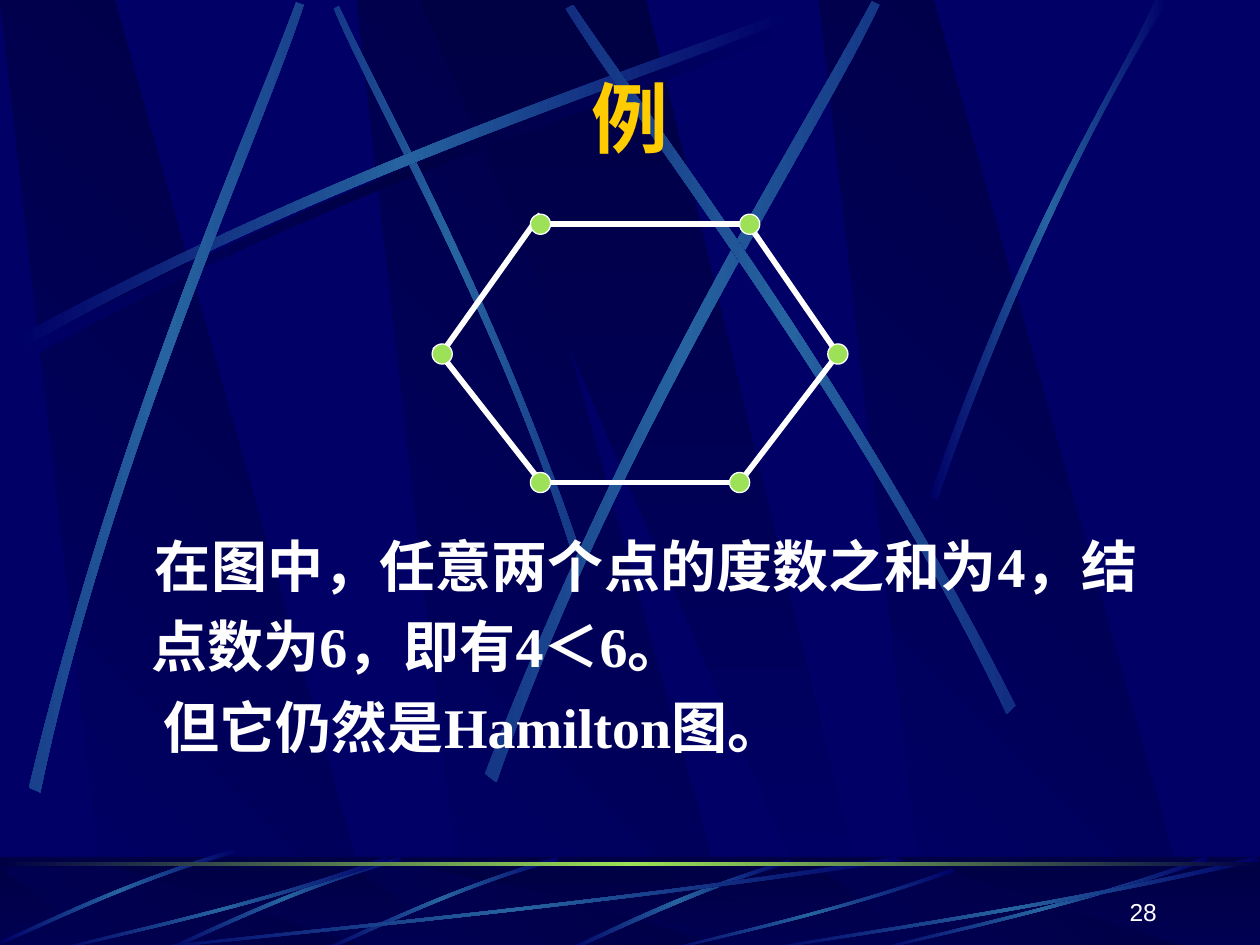
import collections
import math

import copy
import pptx
import pptx.dml.color
import pptx.enum.shapes
import pptx.enum.text
import pptx.oxml.ns
import pptx.util

Inches = pptx.util.Inches
qn = pptx.oxml.ns.qn
Box = collections.namedtuple("Box", "left top width height")
SHAPE = pptx.enum.shapes.MSO_SHAPE
ANCHOR = pptx.enum.text.MSO_ANCHOR
ALIGN = pptx.enum.text.PP_ALIGN

COLORS = {"night": "000066", "dark": "000044", "beam": "2663A0",
          "green": "9CE157", "gold": "FFCC00", "white": "FFFFFF"}
PANEL = [(0.86, 1), (3.02, 1), (0.91, 0), (0, 0)]
WEDGE = [(3.33, 0), (6.58, 1), (6.94, 1), (5.13, 0)]
PANEL_OFFSETS = (2.83, 0, 6.5)
SHADE = [(0.2, 2.75), (2.84, 1.34), (5.24, 0.59), (6.26, 0.18),
         (6.29, 0.24), (5.28, 0.69), (2.54, 1.51), (0.23, 2.85)]
BEAMS = [
    (45, [(4.6, 4.36), (3.91, 2.34), (3.02, 0.77), (2.69, 0.05),
          (2.65, 0.07), (2.95, 0.79), (3.98, 2.58), (4.54, 4.39)]),
    (0, [(0.14, 2.67), (2.78, 1.25), (5.18, 0.51), (6.2, 0.1),
         (6.23, 0.16), (5.22, 0.61), (2.48, 1.43), (0.17, 2.77)]),
    (311.7, [(0.23, 6.25), (0.93, 3.34), (1.97, 1.05), (2.35, 0.02),
             (2.41, 0.04), (2.07, 1.09), (0.86, 3.68), (0.32, 6.29)]),
    (321.6, [(3.85, 6.14), (4.98, 3.2), (6.38, 1.02), (6.92, 0.01),
             (6.98, 0.04), (6.49, 1.08), (4.86, 3.55), (3.94, 6.21)]),
    (34.7, [(8.06, 5.6), (6.7, 2.93), (5.16, 0.95), (4.55, 0.04),
            (4.49, 0.07), (5.07, 1.01), (6.85, 3.25), (7.99, 5.67)]),
    (0, [(7.38, 3.94), (8.14, 1.73), (8.88, 0.66), (9.17, 0),
         (9.27, 0), (8.36, 1.45), (7.69, 3.22), (7.44, 3.97)]),
]
FLOOR_BEAM = [(6.27, 0.02), (5.37, 0.29), (4.77, 0.62), (4.48, 0.74),
              (4.53, 0.75), (4.9, 0.58), (5.71, 0.2), (6.28, 0.05)]
SHORT_BEAM = [(1.86, 0), (0.99, 0.25), (0.31, 0.6), (0, 0.73),
              (0.01, 0.75), (0.32, 0.63), (1.09, 0.23), (1.88, 0.03)]
SHORT_BEAM_OFFSETS = [(2.56, 0), (1.31, 0), (0, -0.06)]
RIBBON = [(1, 0.04), (0.57, 0.57), (0.17, 0.85), (0.01, 1),
          (0, 0.99), (0.17, 0.81), (0.61, 0.51), (0.99, 0)]
RIBBON_SPANS = [(1, 0, 6.17), (0.42, 0, 2.67), (5.27, 0.09, 2.31),
                (6.92, 0, 2.67), (6, 0, 4)]
NODES = [(2.52, 0.08), (0.86, 0.08), (0.08, 1.11), (3.22, 1.11), (0.86, 2.13), (2.44, 2.13)]
EDGES = [(0.86, 0.08, 2.51, 0.08), (0.86, 0, 0.07, 1.11), (0.02, 1.05, 0.89, 2.16),
         (0.86, 2.13, 2.44, 2.13), (3.22, 1.11, 2.44, 2.13), (2.51, 0.08, 3.22, 1.11)]
BODY_LINES = [("在图中，任意两个点的度数之和为4，结点数为6，即有4＜6。", 0.03),
              ("但它仍然是Hamilton图。", 0.1)]


def rgb(name):
    """Look up a named colour."""
    return pptx.dml.color.RGBColor.from_string(COLORS[name])


def apply(target, values):
    """Set attributes from a dict of format values."""
    for name, value in values.items():
        setattr(target, name, value)


def paint_gradient(shape, names, angle=0):
    """Fill a shape with evenly spaced colours fixed to the page."""
    shape.shadow.inherit = False
    shape.line.fill.background()
    shape.fill.gradient()
    shape.fill.gradient_angle = angle
    stops = shape.element.spPr.find(".//" + qn("a:gsLst"))
    stops.getparent().set("rotWithShape", "0")
    while len(stops) < len(names):
        stops.append(copy.deepcopy(stops[-1]))
    for index, (stop, name) in enumerate(zip(shape.fill.gradient_stops, names)):
        stop.color.rgb = rgb(name)
        stop.position = index / (len(names) - 1)


def add_outline(art, box, points):
    """Draw a closed outline with points relative to a box."""
    corners = [(Inches(box.left + x), Inches(box.top + y)) for x, y in points]
    builder = art.shapes.build_freeform(*corners[0])
    builder.add_line_segments(corners[1:], close=True)
    return builder.convert_to_shape()


def turn(points, degrees):
    """Turn points so that their frame, turned back, keeps its centre."""
    cos, sin = math.cos(math.radians(degrees)), math.sin(math.radians(degrees))
    flat = [(x * cos + y * sin, y * cos - x * sin) for x, y in points]
    u, v = ((min(axis) + max(axis)) / 2 for axis in zip(*flat))
    shift_x, shift_y = u * cos - v * sin - u, u * sin + v * cos - v
    return [(x + shift_x, y + shift_y) for x, y in flat]


def add_beam(art, box, controls, degrees=0, core="beam"):
    """Draw a thin beam between two cubic curves."""
    shape = add_outline(art, box, turn(controls, degrees))
    lines = shape.element.spPr.findall(".//" + qn("a:lnTo"))
    for first, *others in (lines[:3], lines[4:]):
        bend = first.makeelement(qn("a:cubicBezTo"), {})
        first.addprevious(bend)
        for line in (first, *others):
            bend.append(line[0])
            line.getparent().remove(line)
    shape.rotation = degrees
    paint_gradient(shape, ("night", core, "night"))


def add_panels(art, box):
    """Draw the slanted panels over the height of a box."""
    for offset in PANEL_OFFSETS:
        panel = add_outline(art, box, [(x + offset, y * box.height) for x, y in PANEL])
        paint_gradient(panel, ("night", "dark"), 45)
    wedge = add_outline(art, box, [(x, y * box.height) for x, y in WEDGE])
    paint_gradient(wedge, ("dark", "night"), 270)


def add_backdrop(art, box):
    """Draw the panels and long beams behind the content."""
    add_panels(art, box)
    add_beam(art, box, SHADE, core="dark")
    for degrees, controls in BEAMS:
        add_beam(art, box, controls, degrees)


def add_floor(art, box):
    """Draw the strip of beams along the bottom."""
    strip = art.shapes.add_shape(SHAPE.RECTANGLE, *map(Inches, box))
    paint_gradient(strip, ("dark", "night"), 270)
    add_panels(art, Box(box.left, box.top + 0.08, box.width, box.height - 0.08))
    veil = art.shapes.add_shape(SHAPE.RECTANGLE, *map(Inches, box))
    veil.shadow.inherit = False
    veil.line.fill.background()
    veil.fill.solid()
    veil.fill.fore_color.rgb = rgb("dark")
    color = veil.element.spPr.find(".//" + qn("a:srgbClr"))
    color.append(color.makeelement(qn("a:alpha"), {"val": "50000"}))
    add_beam(art, box, FLOOR_BEAM)
    for left, top in SHORT_BEAM_OFFSETS:
        add_beam(art, box, [(x + left, y + top) for x, y in SHORT_BEAM], 315)
    for left, top, width in RIBBON_SPANS:
        add_beam(art, box, [(left + x * width, top + y * (box.height - top)) for x, y in RIBBON])
    rule = Box(box.left, box.top + 0.04, box.width, 0.03)
    paint_gradient(art.shapes.add_shape(SHAPE.RECTANGLE, *map(Inches, rule)),
                   ("dark", "green", "dark"))


def write(para, text, font, size, color, bold, align):
    """Write one formatted span into a paragraph."""
    para.alignment = align
    span = para.add_run()
    span.text = text
    apply(span.font, {"name": font, "size": pptx.util.Pt(size), "bold": bold})
    span.font.color.rgb = rgb(color)


def place_text(shape, box, anchor):
    """Place a text shape in a box and return its frame."""
    apply(shape, dict(zip(box._fields, map(Inches, box))))
    apply(shape.text_frame, {"word_wrap": True, "vertical_anchor": anchor,
                             "auto_size": pptx.enum.text.MSO_AUTO_SIZE.NONE})
    return shape.text_frame


def add_title(page, box):
    """Fill the title placeholder."""
    frame = place_text(page.shapes.title, box, ANCHOR.MIDDLE)
    write(frame.paragraphs[0], "例", "Montserrat", 44, "gold", True, ALIGN.CENTER)


def add_body(page, box):
    """Fill the body placeholder with justified, unbulleted lines."""
    frame = place_text(page.placeholders[1], box, ANCHOR.TOP)
    for index, (text, indent) in enumerate(BODY_LINES):
        para = frame.add_paragraph() if index else frame.paragraphs[0]
        apply(para, {"line_spacing": 1.2, "space_before": pptx.util.Pt(0)})
        write(para, text, "Times New Roman", 32, "white", True, ALIGN.JUSTIFY)
        properties = para._p.get_or_add_pPr()
        properties.set("marL", str(Inches(0.1)))
        properties.set("indent", str(Inches(indent)))
        properties.append(properties.makeelement(qn("a:buNone"), {}))


def add_hexagon(page, box, diameter=0.16):
    """Draw the six-node cycle graph."""
    for x1, y1, x2, y2 in EDGES:
        ends = (box.left + x1, box.top + y1, box.left + x2, box.top + y2)
        edge = page.shapes.add_connector(pptx.enum.shapes.MSO_CONNECTOR.STRAIGHT,
                                         *map(Inches, ends))
        edge.line.color.rgb = rgb("white")
        edge.line.width = pptx.util.Pt(3.25)
        edge.element.spPr.append(edge.element.makeelement(qn("a:effectLst"), {}))
    for x, y in NODES:
        spot = Box(box.left + x - diameter / 2, box.top + y - diameter / 2, diameter, diameter)
        node = page.shapes.add_shape(SHAPE.OVAL, *map(Inches, spot))
        node.shadow.inherit = False
        node.fill.solid()
        node.fill.fore_color.rgb = rgb("green")
        node.line.color.rgb = rgb("white")
        node.line.width = pptx.util.Pt(0.75)


def add_page_number(page, box):
    """Write the page number at the lower right."""
    frame = place_text(page.shapes.add_textbox(*map(Inches, box)), box, ANCHOR.BOTTOM)
    write(frame.paragraphs[0], "28", "Arial", 14, "white", False, ALIGN.RIGHT)


def main():
    """Build and save the deck."""
    deck = pptx.Presentation()
    apply(deck, {"slide_width": Inches(10), "slide_height": Inches(7.5)})
    page = deck.slides.add_slide(deck.slide_layouts[1])
    master = deck.slide_master
    master.background.fill.solid()
    master.background.fill.fore_color.rgb = rgb("night")
    art = page.shapes.add_group_shape()
    add_backdrop(art, Box(0, 0, 10, 7.52))
    add_floor(art, Box(0, 6.8, 10, 0.75))
    master.shapes.element.insert(2, art.element)
    add_title(page, Box(0.5, 0.3, 9, 1.25))
    add_body(page, Box(1, 4.06, 8.13, 2.8))
    add_hexagon(page, Box(3.43, 1.7, 3.3, 2.21))
    add_page_number(page, Box(7.2, 6.9, 2.08, 0.5))
    deck.save("out.pptx")


if __name__ == "__main__":
    main()
